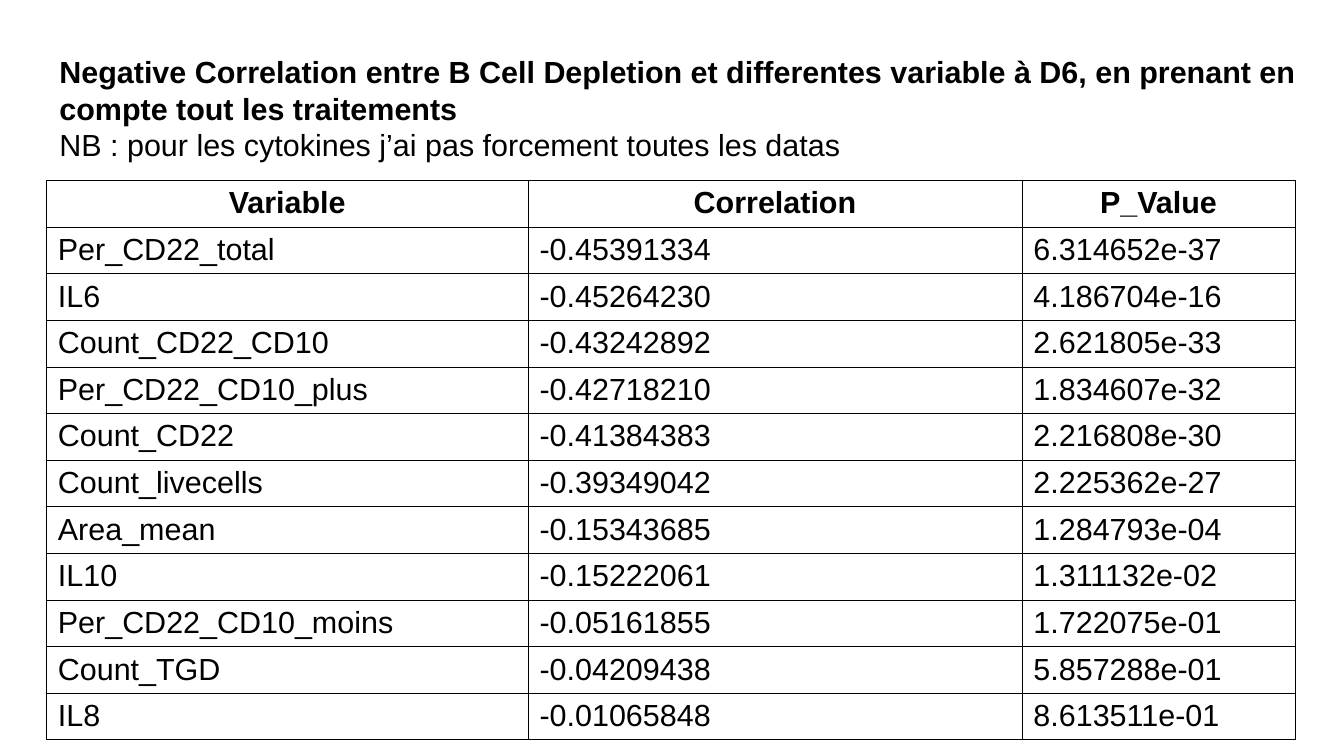
from dataclasses import dataclass
from lxml.etree import SubElement as Sub
from pptx import Presentation as Deck
from pptx.dml.color import RGBColor as Rgb
from pptx.enum.text import MSO_AUTO_SIZE as Fit, PP_ALIGN as Align
from pptx.oxml.ns import qn
from pptx.util import Pt


@dataclass(frozen=True)
class Theme:
    ink: str = "000000"
    font: str = "Arial"
    size: float = 18
    rule: float = 0.57


class Page:
    def __init__(self, deck, theme):
        self.theme = theme
        self.slide = deck.slides.add_slide(deck.slide_layouts[6])

    def run(self, para, text, bold=False):
        run = para.add_run()
        run.text = text
        font = run.font
        font.name, font.size, font.bold = self.theme.font, Pt(self.theme.size), bold
        font.color.rgb = Rgb.from_string(self.theme.ink)

    def text(self, box, text, bold=False):
        frame = self.slide.shapes.add_textbox(*map(Pt, box)).text_frame
        frame.word_wrap = True
        frame.auto_size = Fit.SHAPE_TO_FIT_TEXT
        self.run(frame.paragraphs[0], text, bold)

    def edge(self, cell):
        props = cell._tc.get_or_add_tcPr()
        for side in ("a:lnL", "a:lnR", "a:lnT", "a:lnB"):
            line = Sub(props, qn(side), w=str(Pt(self.theme.rule)))
            fill = Sub(line, qn("a:solidFill"))
            Sub(fill, qn("a:srgbClr"), val=self.theme.ink)

    def table(self, left, top, cols, high, rows):
        box = left, top, sum(cols), high * len(rows)
        grid = self.slide.shapes.add_table(len(rows), len(cols), *map(Pt, box)).table
        grid.horz_banding = False
        for col, wide in zip(grid.columns, cols):
            col.width = Pt(wide)
        for y, row in enumerate(rows):
            grid.rows[y].height = Pt(high)
            for x, text in enumerate(row):
                cell = grid.cell(y, x)
                cell.margin_left = cell.margin_right = Pt(6.8)
                cell.margin_top = cell.margin_bottom = Pt(3.4)
                self.edge(cell)
                cell.fill.background()
                para = cell.text_frame.paragraphs[0]
                para.alignment = Align.LEFT if y else Align.CENTER
                self.run(para, text, bold=y == 0)


ROWS = [
    ("Variable", "Correlation", "P_Value"),
    ("Per_CD22_total", "-0.45391334", "6.314652e-37"),
    ("IL6", "-0.45264230", "4.186704e-16"),
    ("Count_CD22_CD10", "-0.43242892", "2.621805e-33"),
    ("Per_CD22_CD10_plus", "-0.42718210", "1.834607e-32"),
    ("Count_CD22", "-0.41384383", "2.216808e-30"),
    ("Count_livecells", "-0.39349042", "2.225362e-27"),
    ("Area_mean", "-0.15343685", "1.284793e-04"),
    ("IL10", "-0.15222061", "1.311132e-02"),
    ("Per_CD22_CD10_moins", "-0.05161855", "1.722075e-01"),
    ("Count_TGD", "-0.04209438", "5.857288e-01"),
    ("IL8", "-0.01065848", "8.613511e-01"),
]


def main():
    deck = Deck()
    deck.slide_width, deck.slide_height = Pt(793.5), Pt(446.4)
    page = Page(deck, Theme())

    # Correlation table
    page.table(27.4, 106.6, (284.4, 291.6, 161.2), 27.54, ROWS)

    # Title and note
    page.text((28, 28, 765.4, 48.6),
              "Negative Correlation entre B Cell Depletion et differentes variable à D6, "
              "en prenant en compte tout les traitements", bold=True)
    page.text((28, 70.8, 581, 28),
              "NB : pour les cytokines j’ai pas forcement toutes les datas")

    deck.save("out.pptx")


if __name__ == "__main__":
    main()
